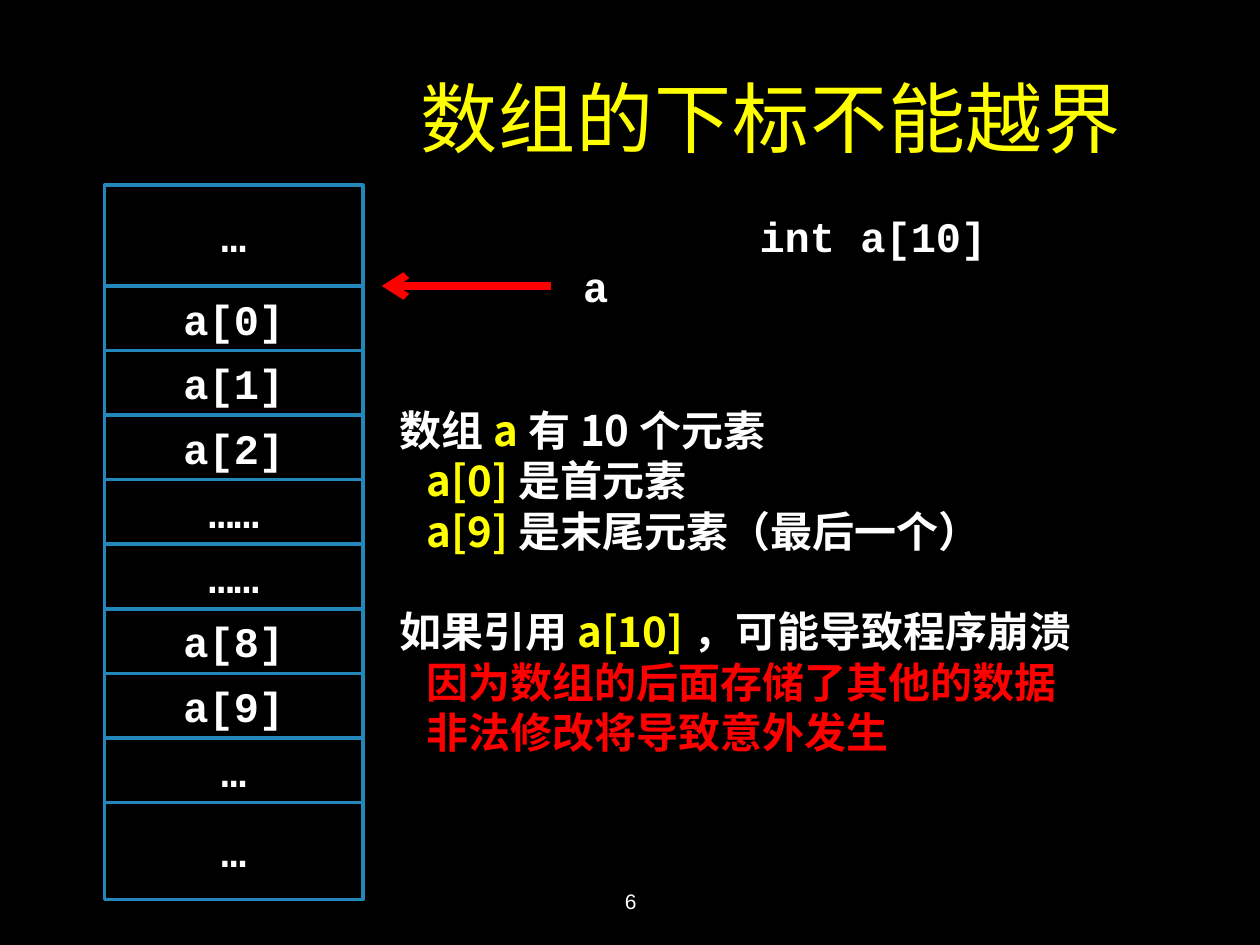
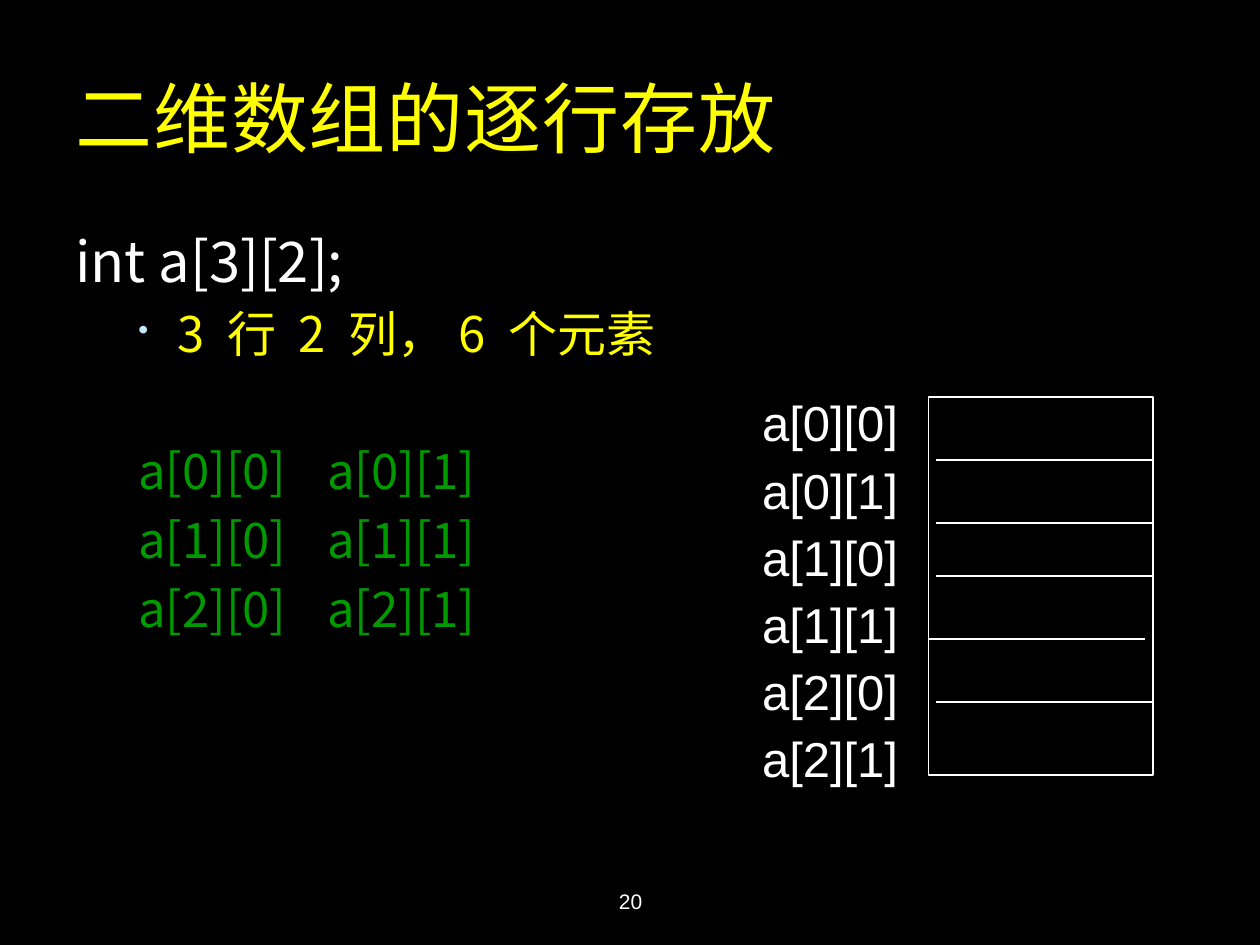
from lxml import etree
from pptx import Presentation
from pptx.dml.color import RGBColor
from pptx.enum.shapes import MSO_CONNECTOR, MSO_SHAPE
from pptx.enum.text import MSO_ANCHOR, PP_ALIGN
from pptx.oxml.ns import qn
from pptx.util import Inches, Pt

LEFT, CENTER, RIGHT = PP_ALIGN.LEFT, PP_ALIGN.CENTER, PP_ALIGN.RIGHT
TOP, MIDDLE = MSO_ANCHOR.TOP, MSO_ANCHOR.MIDDLE
RECTANGLE, STRAIGHT = MSO_SHAPE.RECTANGLE, MSO_CONNECTOR.STRAIGHT

BLACK, WHITE, YELLOW, RED = "000000", "FFFFFF", "FFFF00", "FF0000"
GREEN, CELL_BLUE, BULLET_BLUE = "009900", "2487BB", "C6E7FC"
PLAIN_FONT, CODE_FONT, CHINESE_FONT = "Arial", "Courier New", "Noto Sans CJK SC"
LINE_RATIO = 1.2


def color(hex_code):
    """Turn a hex string into a colour."""
    return RGBColor.from_string(hex_code)


def add_child(parent, tag, **attributes):
    """Append a DrawingML element with the given attributes."""
    child = etree.SubElement(parent, qn(tag))
    for name, value in attributes.items():
        child.set(name, str(value))
    return child


def add_span(para, text, size, font, hex_code, bold=False):
    """Add one run of text and return it."""
    span = para.add_run()
    span.text = text
    span.font.size = Pt(size)
    span.font.bold = bold
    span.font.color.rgb = color(hex_code)
    span.font.name = font
    east_asian = font if font == CODE_FONT else CHINESE_FONT
    add_child(span.font._element, "a:ea", typeface=east_asian)
    return span


def add_box(page, left, top, width, height, anchor=TOP):
    """Add an empty wrapping text box and return its text frame."""
    box = page.shapes.add_textbox(Inches(left), Inches(top), Inches(width), Inches(height))
    frame = box.text_frame
    frame.word_wrap = True
    frame.vertical_anchor = anchor
    return frame


def add_para(frame, spans, size, font, bold=False, align=LEFT, indent=0, hanging=0, before=0):
    """Fill the first empty paragraph or a new one with (text, colour) spans."""
    para = frame.paragraphs[0]
    if para.runs:
        para = frame.add_paragraph()
    para.alignment = align
    para.space_before = Pt(before)
    if font == CHINESE_FONT:
        para.line_spacing = Pt(size * LINE_RATIO)
    properties = para._p.get_or_add_pPr()
    properties.set("marL", str(Inches(indent)))
    properties.set("indent", str(-Inches(hanging)))
    for text, hex_code in spans:
        add_span(para, text, size, font, hex_code, bold)
    return para


def add_bullet(para):
    """Give a paragraph a small pale blue bullet."""
    properties = para._p.get_or_add_pPr()
    add_child(add_child(properties, "a:buClr"), "a:srgbClr", val=BULLET_BLUE)
    add_child(properties, "a:buSzPct", val=60000)
    add_child(properties, "a:buChar", char="•")


def add_tab_stop(para, position):
    """Set a left tab stop on a paragraph."""
    stops = add_child(para._p.get_or_add_pPr(), "a:tabLst")
    add_child(stops, "a:tab", pos=Inches(position), algn="l")


def add_rectangle(page, left, top, width, height, line_color, line_width):
    """Add an unfilled outlined rectangle."""
    box = page.shapes.add_shape(RECTANGLE, Inches(left), Inches(top), Inches(width), Inches(height))
    box.shadow.inherit = False
    box.fill.background()
    box.line.color.rgb = color(line_color)
    box.line.width = Pt(line_width)
    return box


def add_line(page, start, end, line_color, line_width, arrow=False):
    """Add a straight line, with an arrowhead at its end on request."""
    x1, y1, x2, y2 = (Inches(value) for value in start + end)
    line = page.shapes.add_connector(STRAIGHT, x1, y1, x2, y2)
    line.line.color.rgb = color(line_color)
    line.line.width = Pt(line_width)
    if arrow:
        add_child(line.line._get_or_add_ln(), "a:tailEnd", type="arrow")
    add_child(line._element.spPr, "a:effectLst")


def add_page(deck, title, number, align=LEFT):
    """Add a black slide with its title and slide number."""
    page = deck.slides.add_slide(deck.slide_layouts[6])
    page.background.fill.solid()
    page.background.fill.fore_color.rgb = color(BLACK)
    para = add_para(add_box(page, 0.5, 0.3, 8.5, 1.25, MIDDLE),
                    [(title, YELLOW)], 44, PLAIN_FONT, align=align)
    para.runs[0].font._element.set("spc", "50")
    add_para(add_box(page, 3.42, 6.95, 3.17, 0.4, MIDDLE),
             [(number, WHITE)], 12, PLAIN_FONT, align=CENTER)
    return page


def add_memory_column(page):
    """Stack the memory cells from top to bottom."""
    elements = ["a[0]", "a[1]", "a[2]", "……", "……", "a[8]", "a[9]", "…"]
    cells = [("…", 0.8)] + [(label, 0.5125) for label in elements] + [("…", 0.77)]
    top = 1.47
    for label, height in cells:
        frame = add_rectangle(page, 0.83, top, 2.05, height, CELL_BLUE, 2).text_frame
        frame.vertical_anchor = MIDDLE
        add_para(frame, [(label, WHITE)], 24, CODE_FONT, bold=True, align=CENTER)
        top += height


def build_bounds_page(deck):
    """Build the slide on array index bounds."""
    page = add_page(deck, "数组的下标不能越界", "6", RIGHT)
    add_line(page, (4.37, 2.27), (3.03, 2.27), RED, 4.5, arrow=True)
    notes = [
        (0, 0, [("数组", WHITE), ("a", YELLOW), ("有10个元素", WHITE)]),
        (0.22, 0, [("a[0]", YELLOW), ("是首元素", WHITE)]),
        (0.22, 0, [("a[9]", YELLOW), ("是末尾元素（最后一个）", WHITE)]),
        (0, 24 * LINE_RATIO,
         [("如果引用", WHITE), ("a[10]", YELLOW), ("，可能导致程序崩溃", WHITE)]),
        (0.22, 0, [("因为数组的后面存储了其他的数据", RED)]),
        (0.22, 0, [("非法修改将导致意外发生", RED)]),
    ]
    frame = add_box(page, 3.07, 3.16, 6.93, 2.93)
    for indent, before, spans in notes:
        add_para(frame, spans, 24, CHINESE_FONT, bold=True, indent=indent, before=before)
    add_memory_column(page)
    frame = add_box(page, 4.53, 1.62, 3.43, 0.91)
    add_para(frame, [("int a[10]", WHITE)], 24, CODE_FONT, bold=True, indent=1.4)
    add_para(frame, [("a", WHITE)], 24, CODE_FONT, bold=True)


def add_storage(page, labels):
    """Draw the row-by-row storage block with its labels."""
    frame = add_box(page, 5.95, 3.07, 3.83, 3.33)
    for index, label in enumerate(labels):
        add_para(frame, [(label, WHITE)], 28, PLAIN_FONT, before=4.7 if index else 0)
    add_rectangle(page, 7.37, 3.15, 1.78, 3, WHITE, 1)
    for left, y in [(7.43, 3.65), (7.43, 4.15), (7.43, 4.57), (7.37, 5.07), (7.43, 5.57)]:
        add_line(page, (left, y), (left + 1.72, y), WHITE, 1)


def build_storage_page(deck):
    """Build the slide on two-dimensional array storage."""
    page = add_page(deck, "二维数组的逐行存放", "20")
    frame = add_box(page, 0.5, 1.75, 9, 1.3)
    add_para(frame, [("int a[3][2];", WHITE)], 32, CHINESE_FONT)
    add_bullet(add_para(frame, [("3 行 2 列，6 个元素", YELLOW)], 28, CHINESE_FONT,
                        indent=0.81, hanging=0.31, before=5.6))
    rows = [[f"a[{row}][{column}]" for column in range(2)] for row in range(3)]
    frame = add_box(page, 1, 3.45, 4, 1.8)
    for index, row in enumerate(rows):
        para = add_para(frame, [("\t".join(row), GREEN)], 28, CHINESE_FONT,
                        before=5.6 if index else 0)
        add_tab_stop(para, 1.44)
    add_storage(page, [label for row in rows for label in row])


def main():
    """Build and save the deck."""
    deck = Presentation()
    deck.slide_width, deck.slide_height = Inches(10), Inches(7.5)
    build_bounds_page(deck)
    build_storage_page(deck)
    deck.save("out.pptx")


if __name__ == "__main__":
    main()
